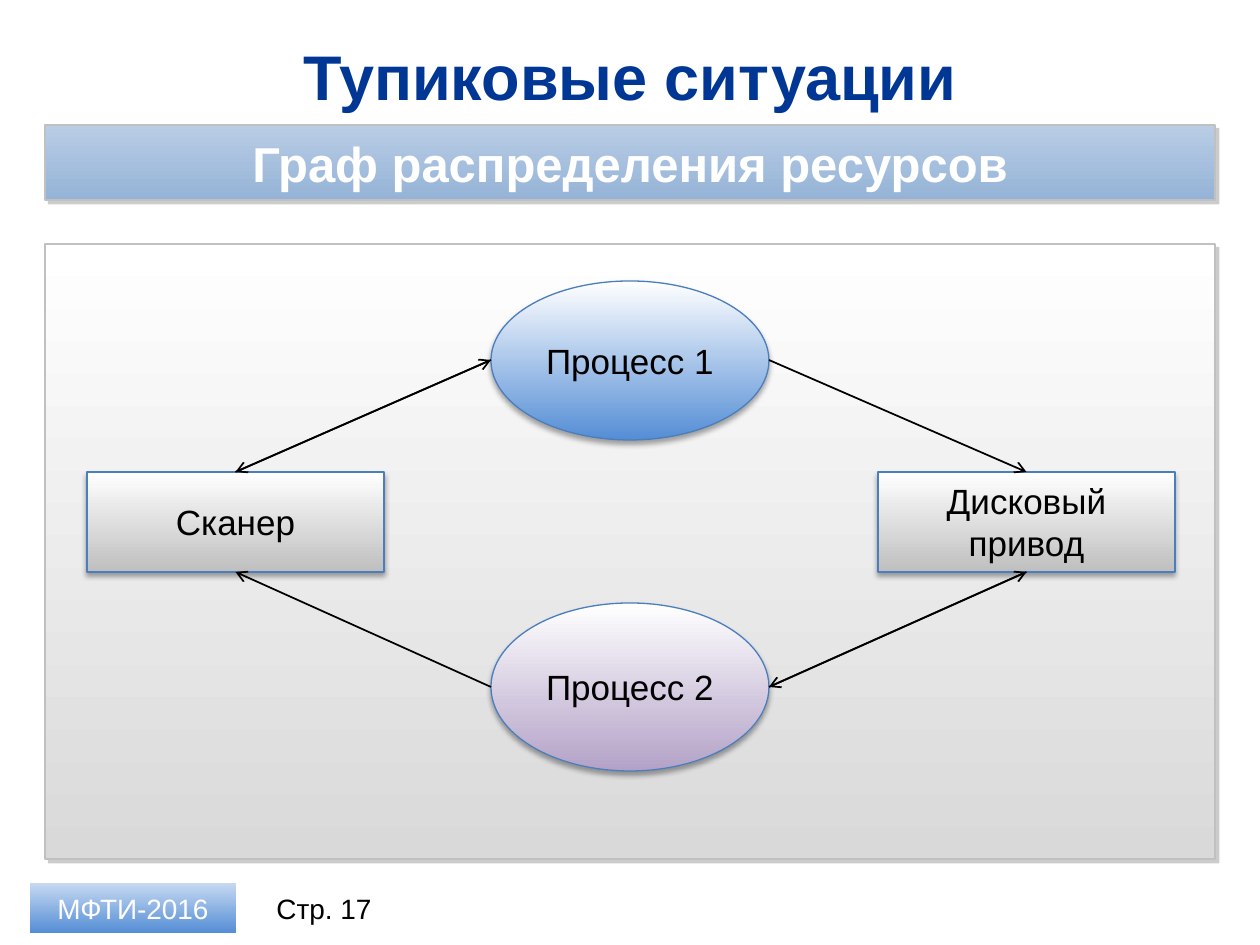
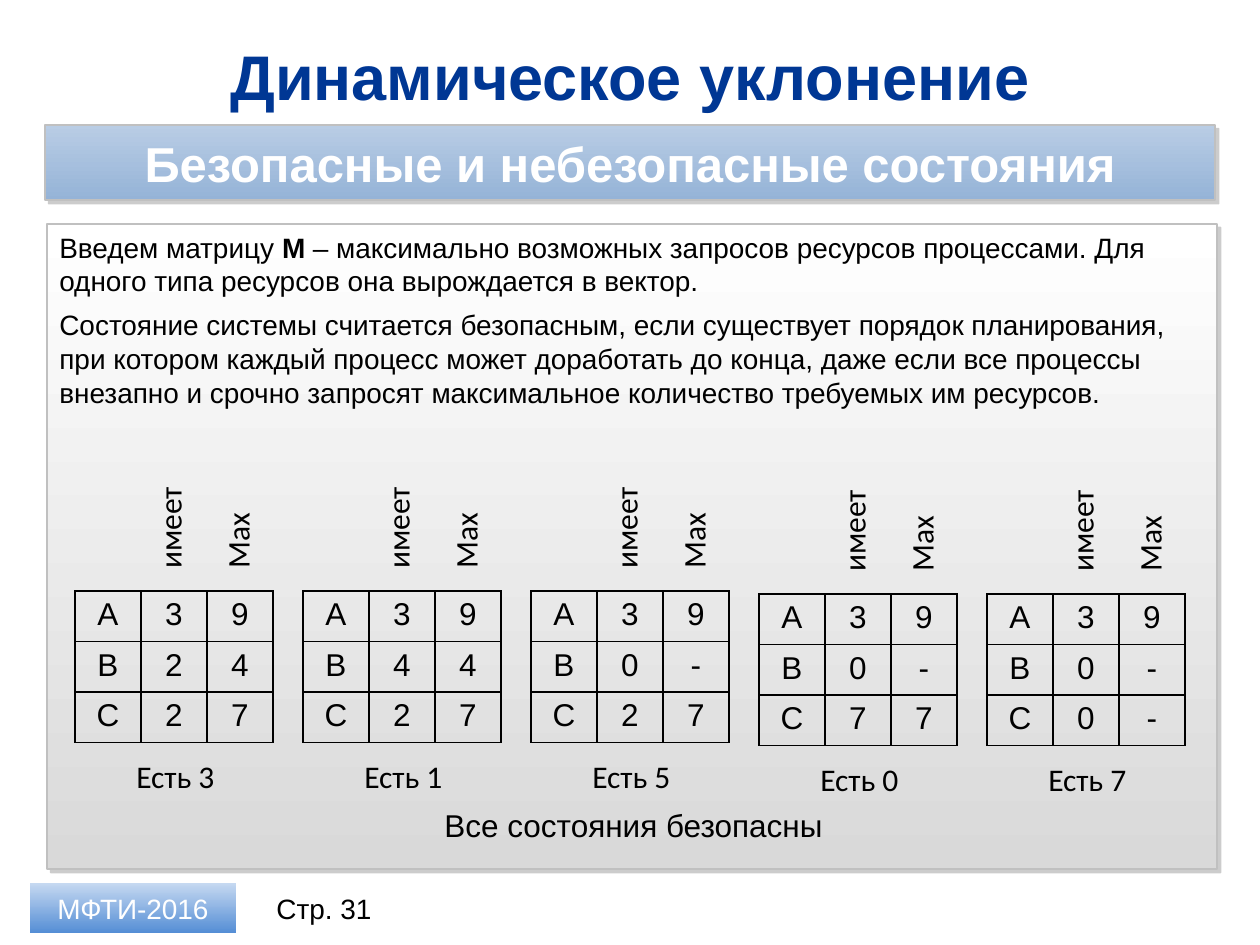
from lxml import etree
from pptx import Presentation
from pptx.dml.color import RGBColor
from pptx.enum.shapes import MSO_CONNECTOR, MSO_SHAPE
from pptx.enum.text import MSO_ANCHOR, PP_ALIGN
from pptx.oxml import parse_xml
from pptx.oxml.ns import nsdecls, qn
from pptx.util import Pt

PX = 7257  # EMU in one px, 126 px to the inch

BLACK = RGBColor(0x00, 0x00, 0x00)
WHITE = RGBColor(0xFF, 0xFF, 0xFF)
NAVY = RGBColor(0x00, 0x37, 0x94)
SILVER = RGBColor(0xC0, 0xC0, 0xC0)
LIGHT_GRAY = RGBColor(0xD9, 0xD9, 0xD9)
MID_GRAY = RGBColor(0xBF, 0xBF, 0xBF)
PALE_BLUE = RGBColor(0xC6, 0xD9, 0xF1)
BLUE = RGBColor(0x55, 0x8E, 0xD5)
BAND_TOP = RGBColor(0xB9, 0xCD, 0xE5)
BAND_BOTTOM = RGBColor(0x95, 0xB3, 0xD7)
LILAC = RGBColor(0xB3, 0xA2, 0xC7)
EDGE_BLUE = RGBColor(0x4B, 0x7E, 0xBC)

# colour, opacity, blur, distance, direction
PANEL_SHADOW = ("808080", 40, 0, 3, 45)
NODE_SHADOW = ("000000", 35, 3.1, 1.8, 90)


def add_box(page, kind, area, colors=None, outline=None, width=1, shadow=None):
    """Add a shape with a top-to-bottom gradient, or a text box if kind is None."""
    place = [value * PX for value in area]
    if kind is None:
        box = page.shapes.add_textbox(*place)
        box.text_frame.word_wrap = True
        return box
    box = page.shapes.add_shape(kind, *place)
    box.fill.gradient()
    box.fill.gradient_angle = 270
    for stop, color in zip(box.fill.gradient_stops, colors):
        stop.color.rgb = color
    if outline is None:
        box.line.fill.background()
    else:
        box.line.color.rgb = outline
        box.line.width = Pt(width)
    box.shadow.inherit = False
    if shadow:
        color, opacity, blur, distance, direction = shadow
        box._element.spPr.find(qn("a:effectLst")).append(parse_xml(
            f'<a:outerShdw {nsdecls("a")} blurRad="{Pt(blur)}" dist="{Pt(distance)}" '
            f'dir="{direction * 60000}" algn="ctr" rotWithShape="0"><a:srgbClr val="{color}">'
            f'<a:alpha val="{opacity * 1000}"/></a:srgbClr></a:outerShdw>'))
    return box


def write(para, text, size, color=BLACK, align=PP_ALIGN.CENTER, name="Arial", bold=False):
    """Add one run to the paragraph."""
    para.alignment = align
    span = para.add_run()
    span.text = text
    span.font.size = Pt(size)
    span.font.name = name
    span.font.bold = bold
    span.font.color.rgb = color


deck = Presentation()
deck.slide_width = 1260 * PX
deck.slide_height = 945 * PX

# Shared frame: title, page number, footer, panel and subtitle band
frames = [
    ("Тупиковые ситуации", "Граф распределения ресурсов", 17, (45, 244, 1170, 615)),
    ("Динамическое уклонение", "Безопасные и небезопасные состояния", 31, (47, 224, 1170, 645)),
]
pages = []
for heading, subtitle, number, panel_area in frames:
    page = deck.slides.add_slide(deck.slide_layouts[5])
    pages.append(page)

    title = page.shapes.title
    title.left, title.top, title.width, title.height = (n * PX for n in (45, 32, 1170, 86))
    title.text_frame.vertical_anchor = MSO_ANCHOR.MIDDLE
    write(title.text_frame.paragraphs[0], heading, 36, NAVY, bold=True)

    page_number = add_box(page, None, (256, 883, 136, 50))
    page_number.text_frame.vertical_anchor = MSO_ANCHOR.MIDDLE
    write(page_number.text_frame.paragraphs[0], f"Стр. {number}", 16)

    footer = add_box(page, MSO_SHAPE.RECTANGLE, (30, 883, 206, 50), (PALE_BLUE, BLUE))
    write(footer.text_frame.paragraphs[0], "МФТИ-2016", 16, WHITE)

    add_box(page, MSO_SHAPE.RECTANGLE, panel_area, (WHITE, LIGHT_GRAY), SILVER,
            shadow=PANEL_SHADOW)
    band = add_box(page, MSO_SHAPE.RECTANGLE, (45, 125, 1170, 75), (BAND_TOP, BAND_BOTTOM),
                   SILVER, shadow=PANEL_SHADOW)
    band.text_frame.margin_left = band.text_frame.margin_right = 30 * PX
    band.text_frame.margin_top = band.text_frame.margin_bottom = 5 * PX
    write(band.text_frame.paragraphs[0], subtitle, 28, WHITE, bold=True)

graph_page, states_page = pages

# Slide 1: resource allocation graph
nodes = {}
for label, kind, area, color in [
    ("Сканер", MSO_SHAPE.RECTANGLE, (87, 472, 297, 100), MID_GRAY),
    ("Дисковый привод", MSO_SHAPE.RECTANGLE, (878, 472, 297, 100), MID_GRAY),
    ("Процесс 1", MSO_SHAPE.OVAL, (491, 281, 278, 159), BLUE),
    ("Процесс 2", MSO_SHAPE.OVAL, (491, 603, 278, 168), LILAC),
]:
    node = add_box(graph_page, kind, area, (WHITE, color), EDGE_BLUE, 0.75, NODE_SHADOW)
    write(node.text_frame.paragraphs[0], label, 20)
    nodes[label] = node

TOP, BOTTOM = 0, 2
scanner, drive = nodes["Сканер"], nodes["Дисковый привод"]
# process end, resource, side of the resource, whether the arrow points at the resource
for x, y, resource, side, is_request in [
    (491, 360, scanner, TOP, True),
    (491, 360, scanner, TOP, False),
    (769, 687, drive, BOTTOM, True),
    (769, 687, drive, BOTTOM, False),
    (769, 360, drive, TOP, True),
    (491, 687, scanner, BOTTOM, True),
]:
    arrow = graph_page.shapes.add_connector(
        MSO_CONNECTOR.STRAIGHT, x * PX, y * PX, x * PX, y * PX)
    if is_request:
        arrow.end_connect(resource, side)
    else:
        arrow.begin_connect(resource, side)
    arrow.line.color.rgb = BLACK
    arrow.line.width = Pt(1)
    etree.SubElement(arrow.line._get_or_add_ln(), qn("a:tailEnd"), type="arrow")
    etree.SubElement(arrow._element.spPr, qn("a:effectLst"))

# Slide 2: definition and the sequence of safe states
definition = add_box(states_page, None, (47, 224, 1169, 193)).text_frame
matrix_para = definition.paragraphs[0]
for text, bold in [
    ("Введем матрицу ", False),
    ("М", True),
    (" – максимально возможных запросов ресурсов процессами. Для одного типа ресурсов "
     "она вырождается в вектор.", False),
]:
    write(matrix_para, text, 16, align=PP_ALIGN.LEFT, bold=bold)
safety_para = definition.add_paragraph()
safety_para.space_before = Pt(6)
write(safety_para, "Состояние системы считается безопасным, если существует порядок планирования, "
      "при котором каждый процесс может доработать до конца, даже если все процессы внезапно "
      "и срочно запросят максимальное количество требуемых им ресурсов.", 16, align=PP_ALIGN.LEFT)

# rows of process, has, max; free units; top of the table
states = [
    (("A39", "B24", "C27"), 3, 591),
    (("A39", "B44", "C27"), 1, 591),
    (("A39", "B0-", "C27"), 5, 591),
    (("A39", "B0-", "C77"), 0, 594),
    (("A39", "B0-", "C0-"), 7, 594),
]
for index, (rows, free, top) in enumerate(states):
    left = 75 + 228 * index
    table = states_page.shapes.add_table(
        3, 3, left * PX, top * PX, 198 * PX, 151 * PX).table
    table.first_row = table.horz_banding = False
    for row_index, row in enumerate(rows):
        for column, value in enumerate(row):
            cell = table.cell(row_index, column)
            write(cell.text_frame.paragraphs[0], value, 18)
            for edge in ("lnL", "lnR", "lnT", "lnB"):
                cell._tc.get_or_add_tcPr().append(parse_xml(
                    f'<a:{edge} {nsdecls("a")} w="{Pt(1)}"><a:solidFill>'
                    f'<a:srgbClr val="{BLACK}"/></a:solidFill></a:{edge}>'))
            cell.fill.background()

    for text, area, rotation in [
        ("имеет", (left + 35, top - 94, 118, 50), 270),
        ("Max", (left + 103, top - 94, 118, 50), 270),
        (f"Есть {free}", (left + 49, top + 160, 129, 50), 0),
    ]:
        caption = add_box(states_page, None, area)
        caption.rotation = rotation
        write(caption.text_frame.paragraphs[0], text, 18, align=PP_ALIGN.LEFT, name="Calibri")

conclusion = add_box(states_page, None, (432, 800, 476, 50))
write(conclusion.text_frame.paragraphs[0], "Все состояния безопасны", 18, align=PP_ALIGN.LEFT)

deck.save("out.pptx")
